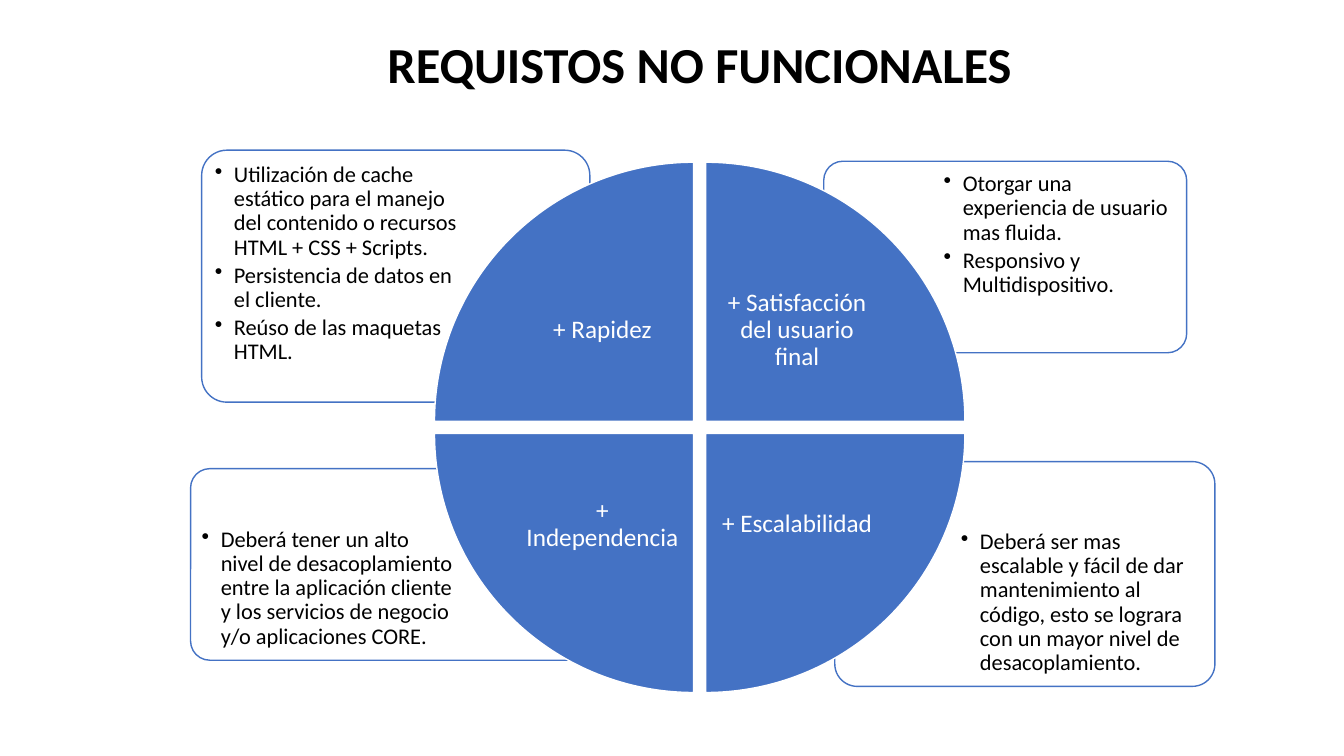
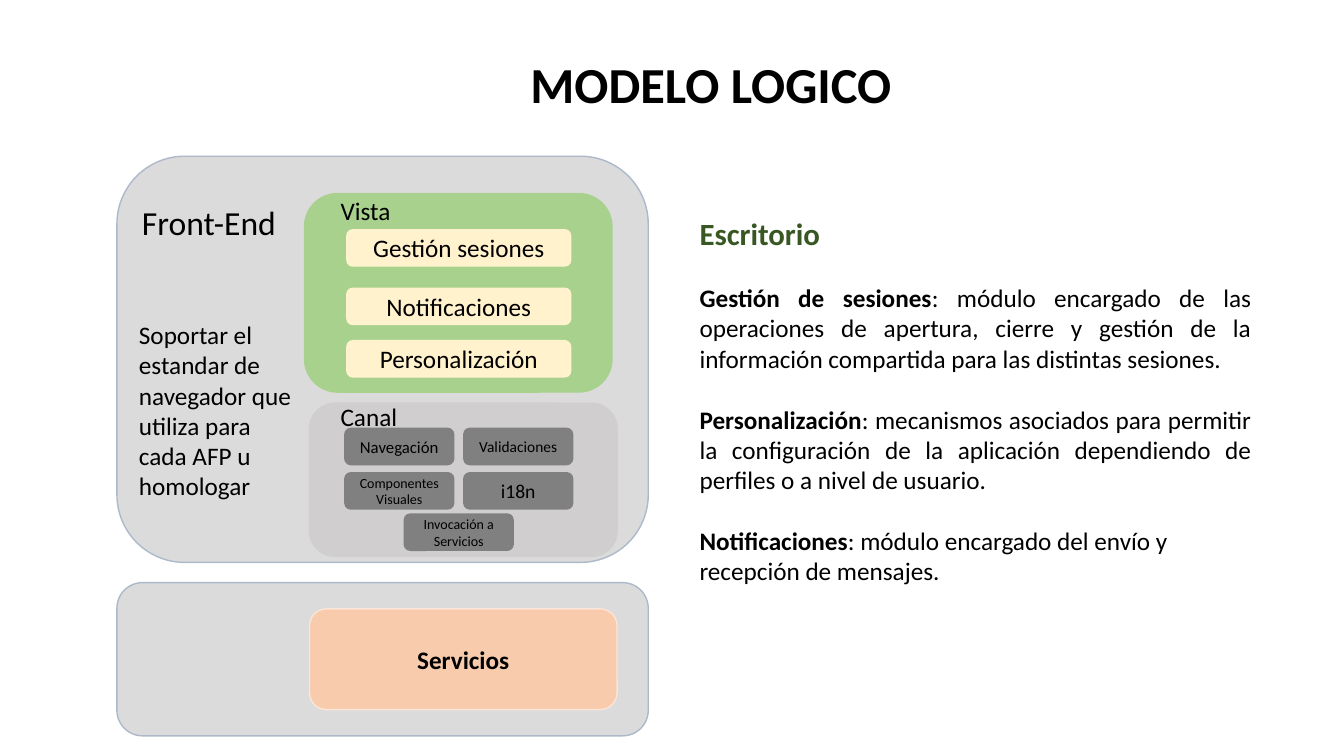
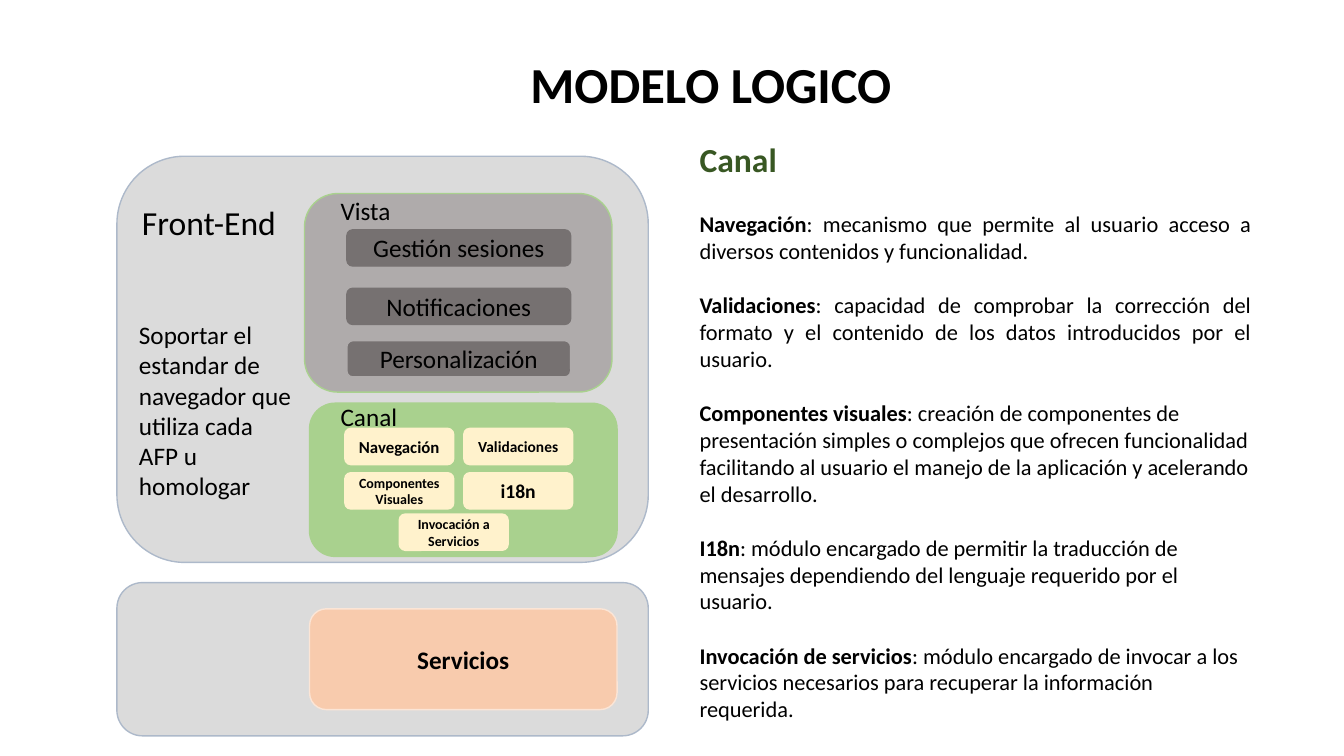
from dataclasses import dataclass

from lxml import etree
from pptx import Presentation
from pptx.dml.color import RGBColor
from pptx.enum.shapes import MSO_SHAPE
from pptx.enum.text import MSO_ANCHOR, PP_ALIGN
from pptx.oxml.ns import qn
from pptx.util import Inches, Pt

ROUNDED = MSO_SHAPE.ROUNDED_RECTANGLE
WEDGE = MSO_SHAPE.PIE_WEDGE
MIDDLE = MSO_ANCHOR.MIDDLE
LEFT, CENTER, JUSTIFY = PP_ALIGN.LEFT, PP_ALIGN.CENTER, PP_ALIGN.JUSTIFY


@dataclass(frozen=True)
class Theme:
    font: str = "Calibri"
    black: str = "000000"
    white: str = "FFFFFF"
    blue: str = "4472C4"
    panel: str = "DBDBDB"
    panel_line: str = "ADB9CA"
    green: str = "A9D18E"
    dark_green: str = "385723"
    cream: str = "FFF2CC"
    light_gray: str = "D0CECE"
    mid_gray: str = "AFABAB"
    gray: str = "808080"
    dark_gray: str = "767171"
    peach: str = "F8CBAD"
    peach_line: str = "FBE5D6"
    title: int = 36
    large: int = 24
    body: int = 18
    detail: int = 16


THEME = Theme()

CARDS = [
    ((8.28, 4.58, 3.77, 2.23), (9.46, 5.19, 2.54, 1.58),
     ["Deberá ser mas escalable y fácil de dar mantenimiento al código, "
      "esto se lograra con un mayor nivel de desacoplamiento."]),
    ((1.89, 4.65, 3.92, 1.9), (1.93, 5.17, 2.66, 1.34),
     ["Deberá tener un alto nivel de desacoplamiento entre la aplicación cliente "
      "y los servicios de negocio y/o aplicaciones CORE."]),
    ((8.17, 1.6, 3.6, 1.9), (9.29, 1.64, 2.44, 1.34),
     ["Otorgar una experiencia de usuario mas fluida.",
      "Responsivo y Multidispositivo."]),
    ((2, 1.49, 3.85, 2.5), (2.06, 1.55, 2.59, 1.77),
     ["Utilización de cache estático para el manejo del contenido o recursos "
      "HTML + CSS + Scripts.",
      "Persistencia de datos en el cliente.",
      "Reúso de las maquetas HTML."]),
]

QUADRANTS = [
    ("+ Rapidez", 0, 0),
    ("+ Satisfacción del usuario final", 1, 0),
    ("+ Escalabilidad", 1, 1),
    ("+ Independencia", 0, 1),
]

VIEWS = [("Gestión sesiones", 2.28), ("Notificaciones", 2.86), ("Personalización", 3.38)]

MODULES = [("Navegación", 12), ("Validaciones", 11), ("Componentes Visuales", 10), ("i18n", 14)]

DESKTOP_NOTES = [
    ("Gestión de sesiones", ": módulo encargado de las operaciones de apertura, cierre y "
     "gestión de la información compartida para las distintas sesiones.", JUSTIFY),
    ("Personalización", ": mecanismos asociados para permitir la configuración de la "
     "aplicación dependiendo de perfiles o a nivel de usuario.", JUSTIFY),
    ("Notificaciones", ": módulo encargado del envío y recepción de mensajes.", LEFT),
]

CHANNEL_NOTES = [
    ("Navegación", ": mecanismo que permite al usuario acceso a diversos contenidos y "
     "funcionalidad.", JUSTIFY),
    ("Validaciones", ": capacidad de comprobar la corrección del formato y el contenido "
     "de los datos introducidos por el usuario.", JUSTIFY),
    ("Componentes visuales", ": creación de componentes de presentación simples o "
     "complejos que ofrecen funcionalidad facilitando al usuario el manejo de la "
     "aplicación y acelerando el desarrollo.", LEFT),
    ("I18n", ": módulo encargado de permitir la traducción de mensajes dependiendo del "
     "lenguaje requerido por el usuario.", LEFT),
    ("Invocación de servicios", ": módulo encargado de invocar a los servicios necesarios "
     "para recuperar la información requerida.", LEFT),
]


def apply(target, values):
    for name, value in values.items():
        setattr(target, name, value)


def place(area):
    return [Inches(length) for length in area]


def add_span(para, text, size, color=THEME.black, bold=False):
    span = para.add_run()
    span.text = text
    apply(span.font, {"name": THEME.font, "size": Pt(size), "bold": bold})
    span.font.color.rgb = RGBColor.from_string(color)


def next_para(frame, **layout):
    first = frame.paragraphs[0]
    para = frame.add_paragraph() if first.runs else first
    apply(para, layout)
    return para


def add_box(slide, area, inset=None, **layout):
    frame = slide.shapes.add_textbox(*place(area)).text_frame
    apply(frame, {"word_wrap": True, **layout})
    if inset is not None:
        sides = ("left", "top", "right", "bottom")
        apply(frame, {f"margin_{side}": Inches(inset) for side in sides})
    return frame


def add_label(slide, area, text, size=THEME.body, align=LEFT, bold=False):
    frame = add_box(slide, area, word_wrap=False)
    add_span(next_para(frame, alignment=align), text, size, bold=bold)


def add_block(slide, kind, area, fill, line=None):
    block = slide.shapes.add_shape(kind, *place(area))
    block.shadow.inherit = False
    block.fill.solid()
    block.fill.fore_color.rgb = RGBColor.from_string(fill)
    block.line.color.rgb = RGBColor.from_string(line or fill)
    block.line.width = Pt(1)
    return block


def add_named_block(slide, area, text, fill, line=None, size=THEME.body, bold=False):
    frame = add_block(slide, ROUNDED, area, fill, line).text_frame
    apply(frame, {"word_wrap": True, "vertical_anchor": MIDDLE})
    add_span(next_para(frame, alignment=CENTER), text, size, bold=bold)


def add_bullet(para):
    properties = para._p.get_or_add_pPr()
    properties.set("marL", str(Inches(0.19)))
    properties.set("indent", str(-Inches(0.19)))
    etree.SubElement(properties, qn("a:buChar")).set("char", "•")


def add_card(slide, area, text_area, items):
    card = add_block(slide, ROUNDED, area, THEME.white, THEME.blue)
    card.adjustments[0] = 0.1
    frame = add_box(slide, text_area, inset=0.07)
    for item in items:
        para = next_para(frame, line_spacing=0.9, space_after=Pt(2.9))
        add_bullet(para)
        add_span(para, item, THEME.detail)


def add_quadrant(slide, text, column, row):
    side, text_side, pitch = 2.57, 1.81, 2.69
    left, top = 4.31 + column * pitch, 1.61 + row * pitch
    wedge = add_block(slide, WEDGE, (left, top, side, side), THEME.blue, THEME.white)
    wedge.rotation = 90 * (3 - column if row else column)
    shift = side - text_side
    text_area = (left + shift * (1 - column), top + shift * (1 - row), text_side, text_side)
    frame = add_box(slide, text_area, inset=0.14, vertical_anchor=MIDDLE)
    add_span(next_para(frame, alignment=CENTER, line_spacing=0.9), text, THEME.body, THEME.white)


def add_notes_column(slide, top, height, heading, heading_size, notes, size, gaps):
    frame = add_box(slide, (6.84, top, 5.67, height))
    add_span(next_para(frame), heading, heading_size, THEME.dark_green, True)
    first_gap, gap = gaps
    for index, (term, meaning, align) in enumerate(notes):
        space = gap if index else first_gap
        para = next_para(frame, alignment=align, space_before=Pt(space))
        add_span(para, term, size, bold=True)
        add_span(para, meaning, size)


def add_model(slide, view, view_line, view_item, last_item_line, channel, module,
              module_bold, last_module_left, support):
    add_label(slide, (5.14, 0.48, 3.82, 0.71), "MODELO LOGICO", THEME.title, CENTER, True)
    for top, height in ((1.55, 4.03), (5.78, 1.52)):
        add_block(slide, ROUNDED, (1.16, top, 5.27, height), THEME.panel, THEME.panel_line)

    add_block(slide, ROUNDED, (3.02, 1.92, 3.05, 1.97), view, view_line)
    for text, top in VIEWS:
        line = last_item_line if text == VIEWS[-1][0] else view_item
        add_named_block(slide, (3.44, top, 2.22, 0.36), text, view_item, line)

    add_block(slide, ROUNDED, (3.07, 4, 3.05, 1.52), channel)
    spots = [(3.42 + 1.18 * (index % 2), 4.25 + 0.44 * (index // 2)) for index in range(4)]
    spots.append((last_module_left, 5.1))
    for (text, size), (left, top) in zip(MODULES + [("Invocación a Servicios", 10)], spots):
        add_named_block(slide, (left, top, 1.08, 0.36), text, module, size=size, bold=module_bold)

    add_named_block(slide, (3.07, 6.04, 3.05, 1), "Servicios", THEME.peach,
                    THEME.peach_line, bold=True)
    add_label(slide, (1.31, 1.95, 1.55, 0.5), "Front-End", THEME.large)
    add_label(slide, (3.28, 1.89, 0.7, 0.4), "Vista")
    add_label(slide, (3.28, 3.93, 0.77, 0.4), "Canal")
    frame = add_box(slide, (1.28, 3.12, 1.74, 1.92))
    for text in ("Soportar el estandar de", "navegador que", support):
        add_span(next_para(frame), text, THEME.body)


def build_requirements(slide):
    add_label(slide, (3.71, 0.28, 6.46, 0.71), "REQUISTOS NO FUNCIONALES",
              THEME.title, CENTER, True)
    for card in CARDS:
        add_card(slide, *card)
    for quadrant in QUADRANTS:
        add_quadrant(slide, *quadrant)


def build_desktop(slide):
    add_model(slide, view=THEME.green, view_line=THEME.green, view_item=THEME.cream,
              last_item_line=THEME.cream, channel=THEME.light_gray, module=THEME.gray,
              module_bold=False, last_module_left=4.01,
              support="utiliza para cada AFP u homologar")
    add_notes_column(slide, 2.08, 4.11, "Escritorio", 22, DESKTOP_NOTES, THEME.body, (22, 22))


def build_channel(slide):
    add_model(slide, view=THEME.mid_gray, view_line=THEME.green, view_item=THEME.dark_gray,
              last_item_line=THEME.mid_gray, channel=THEME.green, module=THEME.cream,
              module_bold=True, last_module_left=3.96,
              support="utiliza cada AFP u homologar")
    add_notes_column(slide, 1.33, 5.92, "Canal", THEME.large, CHANNEL_NOTES,
                     THEME.detail, (22, 19.5))


def main():
    deck = Presentation()
    apply(deck, {"slide_width": Inches(13.33), "slide_height": Inches(7.5)})
    for build in (build_requirements, build_desktop, build_channel):
        build(deck.slides.add_slide(deck.slide_layouts[6]))
    deck.save("out.pptx")


main()
